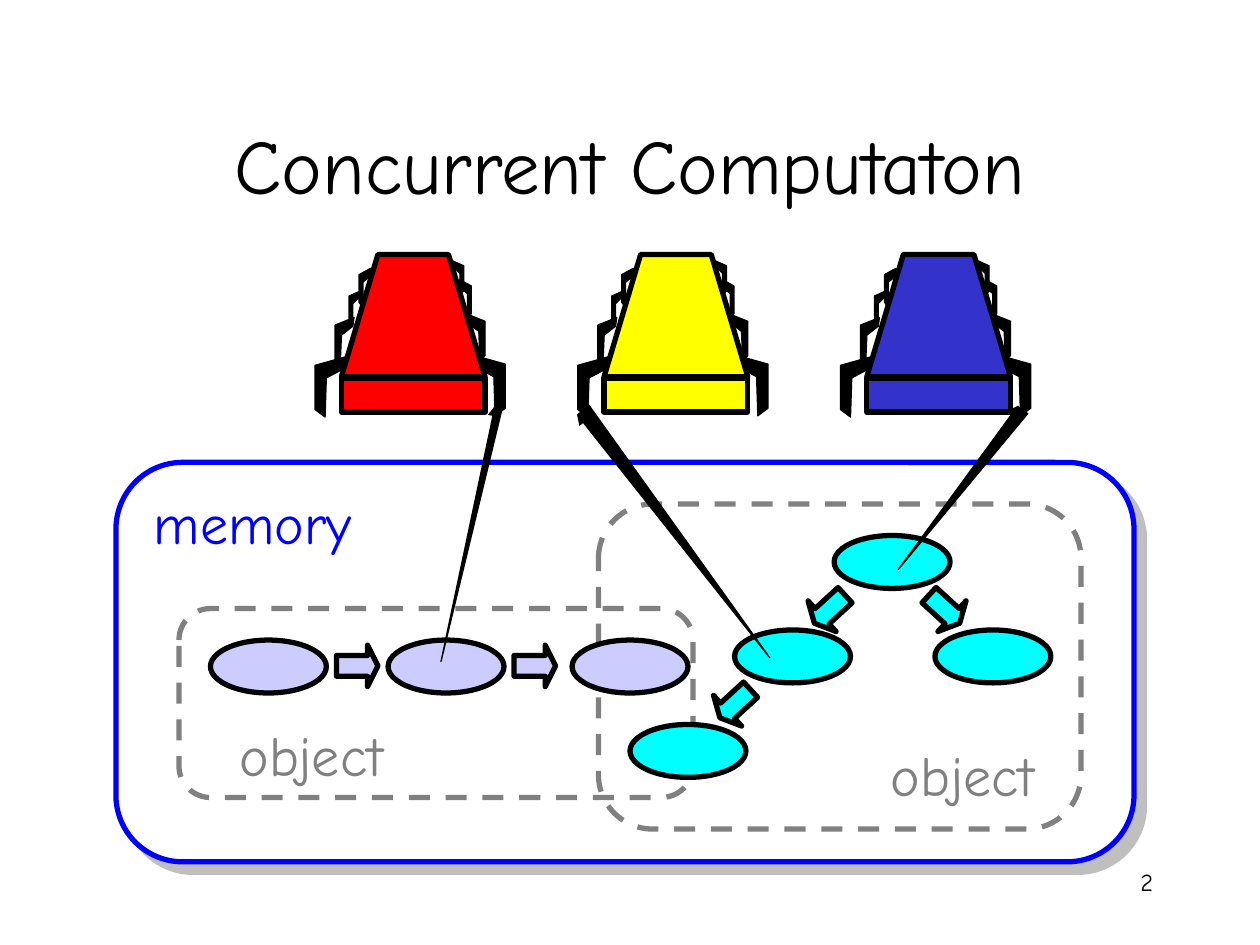
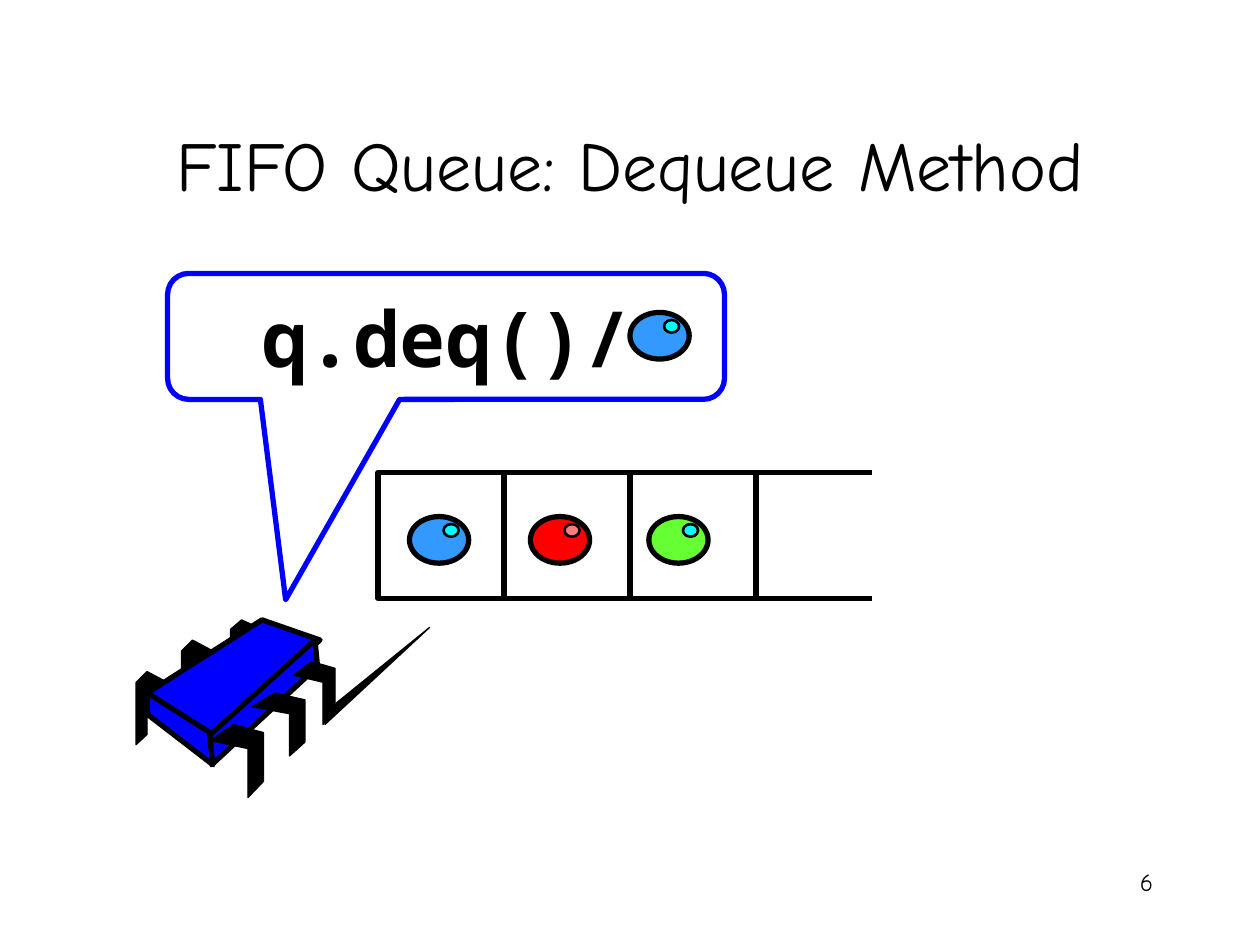
from lxml import etree
from pptx import Presentation
from pptx.dml.color import RGBColor
from pptx.enum.dml import MSO_LINE
from pptx.enum.shapes import MSO_CONNECTOR, MSO_SHAPE
from pptx.enum.text import MSO_ANCHOR, PP_ALIGN
from pptx.oxml.ns import qn
from pptx.util import Inches, Pt

ELLIPSE, RECT = MSO_SHAPE.OVAL, MSO_SHAPE.RECTANGLE
ROUNDED, ARROW = MSO_SHAPE.ROUNDED_RECTANGLE, MSO_SHAPE.RIGHT_ARROW
CALLOUT = MSO_SHAPE.ROUNDED_RECTANGULAR_CALLOUT
STRAIGHT, DASH = MSO_CONNECTOR.STRAIGHT, MSO_LINE.DASH
CENTER, RIGHT = PP_ALIGN.CENTER, PP_ALIGN.RIGHT
TOP, MIDDLE = MSO_ANCHOR.TOP, MSO_ANCHOR.MIDDLE

FONT, CODE_FONT = "Comic Neue", "Noto Sans Mono"
BLACK, WHITE, GRAY, BLUE = "000000", "FFFFFF", "808080", "0000FF"
RED, YELLOW, INDIGO = "FF0000", "FFFF00", "3333CC"
LILAC, CYAN = "CCCCFF", "00FFFF"
SKY, GREEN, PINK = "3399FF", "66FF33", "FF7C80"
THICK, MEDIUM, THIN = 3, 1.5, 0.75

# Right legs of a thread seen from the front, measured from its top centre,
# each with the shift that its mirrored left leg gets.
THREAD_LEGS = [
    ([(.48, .80), (.73, .87), (.73, 1.22), (.65, 1.28), (.64, .97), (.49, .89)], (-.05, .01)),
    ([(.42, .47), (.57, .53), (.57, .80), (.53, .85), (.52, .61), (.43, .54)], (-.05, .03)),
    ([(.37, .20), (.46, .25), (.46, .47), (.43, .51), (.43, .31), (.37, .26)], (.03, -.09)),
    ([(.31, .05), (.40, .09), (.40, .29), (.37, .32), (.37, .15), (.32, .10)], (-.11, .24)),
]
# Legs of the thread seen from the side, as fractions of their width and height.
BACK_LEG = [(1, .15), (.35, 0), (0, .15), (0, 1), (.35, .86), (.35, .29), (1, .43)]
FRONT_LEG = [(.43, 0), (0, .22), (.71, .33), (.71, 1), (1, .78), (1, .11)]


def rgb(hex_color):
    return RGBColor.from_string(hex_color)


def paint(shape, fill, line, width, dash=None):
    shape.shadow.inherit = False
    if fill:
        shape.fill.solid()
        shape.fill.fore_color.rgb = rgb(fill)
    else:
        shape.fill.background()
    shape.line.color.rgb = rgb(line)
    shape.line.width = Pt(width)
    if dash:
        shape.line.dash_style = dash
    return shape


def add_figure(slide, kind, left, top, width, height, fill=None, line=BLACK,
               weight=THICK, dash=None, adjust=()):
    figure = slide.shapes.add_shape(
        kind, Inches(left), Inches(top), Inches(width), Inches(height))
    for index, value in enumerate(adjust):
        figure.adjustments[index] = value
    return paint(figure, fill, line, weight, dash)


def add_outline(slide, points, fill=BLACK, weight=THIN, close=True):
    corners = [(Inches(x), Inches(y)) for x, y in points]
    builder = slide.shapes.build_freeform(*corners[0], scale=1.0)
    builder.add_line_segments(corners[1:], close=close)
    return paint(builder.convert_to_shape(), fill, BLACK, weight)


def write(shape, text, size, color=BLACK, align=CENTER, anchor=MIDDLE, font=FONT, bold=False):
    frame = shape.text_frame
    frame.text = text
    frame.vertical_anchor = anchor
    paragraph = frame.paragraphs[0]
    paragraph.alignment = align
    for run in paragraph.runs:
        run.font.name = font
        run.font.size = Pt(size)
        run.font.bold = bold
        run.font.color.rgb = rgb(color)


def add_text(slide, left, top, width, height, text, size, wrap=True, **style):
    box = slide.shapes.add_textbox(Inches(left), Inches(top), Inches(width), Inches(height))
    box.text_frame.word_wrap = wrap
    write(box, text, size, **style)


def add_label(slide, left, top, width, text, color):
    add_text(slide, left, top, width, 0.63, text, 32, wrap=False,
             color=color, align=RIGHT, anchor=TOP)


def new_slide(deck, title, title_size, number):
    slide = deck.slides.add_slide(deck.slide_layouts[6])
    add_text(slide, 7.17, 6.83, 2.08, 0.5, number, 14, align=RIGHT, anchor=TOP)
    add_text(slide, 0.75, 0.67, 8.5, 1.25, title, title_size)
    return slide


def drop_shadow(shape):
    """Give the shape a hard half-transparent gray shadow to the lower right."""
    effects = shape._element.spPr.find(qn("a:effectLst"))
    shadow = etree.SubElement(effects, qn("a:outerShdw"), blurRad="0",
                              dist=str(Pt(8.5)), dir=str(45 * 60000), algn="ctr", rotWithShape="0")
    color = etree.SubElement(shadow, qn("a:srgbClr"), val=GRAY)
    etree.SubElement(color, qn("a:alpha"), val="50000")


def add_arm(slide, points):
    """Draw the open, tapering arm with which a thread reaches a node."""
    arm = add_outline(slide, points, close=False)
    line = arm._element.spPr.find(qn("a:ln"))
    etree.SubElement(line, qn("a:tailEnd"), type="triangle")


def add_thread(slide, center, top, color):
    for leg, (shift_x, shift_y) in THREAD_LEGS:
        add_outline(slide, [(center + x, top + y) for x, y in leg])
        add_outline(slide, [(center - x + shift_x, top + y + shift_y) for x, y in leg])
    back = [(-.57, .97), (-.28, 0), (.28, 0), (.57, .97)]
    add_outline(slide, [(center + x, top + y) for x, y in back], color, THICK)
    add_figure(slide, RECT, center - .57, top + .98, 1.14, .27, color)


def add_node(slide, left, top, color):
    add_figure(slide, ELLIPSE, left, top, 0.92, 0.42, color)


def add_pointer(slide, left, top, color, rotation=0):
    pointer = add_figure(slide, ARROW, left, top, 0.33, 0.33, color, adjust=(0.5, 0.25))
    pointer.rotation = rotation


def add_object_frame(slide, left, top, width, height):
    add_figure(slide, ROUNDED, left, top, width, height, line=GRAY, dash=DASH, adjust=(0.167,))


def add_item(slide, left, top, color, glint):
    add_figure(slide, ELLIPSE, left, top, 0.47, 0.37, color)
    add_figure(slide, ELLIPSE, left + .27, top + .06, 0.12, 0.1, glint, weight=MEDIUM)


def add_leg(slide, leg, left, top, width, height):
    add_outline(slide, [(left + x * width, top + y * height) for x, y in leg])


def add_walking_thread(slide):
    for left, top, height in [(1.08, 5.33, .58), (1.44, 5.08, .58), (1.83, 4.92, .5)]:
        add_leg(slide, BACK_LEG, left, top, .25, height)
    back = [(2.08, 4.92), (1.17, 5.5), (1.68, 5.85), (2.54, 5.08)]
    side = [(2.5, 5.08), (1.67, 5.83), (1.68, 6.07), (2.52, 5.29)]
    front = [(1.17, 5.5), (1.17, 5.67), (1.69, 6.07), (1.66, 5.81)]
    for face in (back, side, front):
        add_outline(slide, face, BLUE, THICK)
    for left, top, width, height in [(1.67, 5.75, .42, .58), (2, 5.5, .42, .5),
                                     (2.33, 5.25, .33, .5)]:
        add_leg(slide, FRONT_LEG, left, top, width, height)
    add_outline(slide, [(2.58, 5.75), (2.67, 5.58), (3.41, 4.98)])


def add_rail(slide, left, right, y):
    rail = slide.shapes.add_connector(STRAIGHT, Inches(left), Inches(y), Inches(right), Inches(y))
    rail.line.color.rgb = rgb(BLACK)
    rail.line.width = Pt(THICK)
    etree.SubElement(rail._element.spPr, qn("a:effectLst"))


def build_computation(deck):
    slide = new_slide(deck, "Concurrent Computaton", 44, "2")
    memory = add_figure(slide, ROUNDED, 0.92, 3.67, 8.08, 3.17, WHITE, BLUE, adjust=(0.167,))
    drop_shadow(memory)
    add_label(slide, 1.08, 3.83, 1.81, "memory", BLUE)

    for index, color in enumerate((RED, YELLOW, INDIGO)):
        add_thread(slide, 3.28 + 2.085 * index, 2.02, color)

    add_object_frame(slide, 1.42, 4.83, 4.08, 1.5)
    add_label(slide, 1.58, 5.67, 1.56, "object", GRAY)
    add_object_frame(slide, 4.75, 4, 3.83, 2.58)
    add_label(slide, 6.75, 5.83, 1.56, "object", GRAY)

    for left in (1.67, 3.08, 4.54):
        add_node(slide, left, 5.08, LILAC)
    for left in (2.67, 4.08):
        add_pointer(slide, left, 5.12, LILAC)
    for left, top in [(6.62, 4.25), (5.83, 5), (7.42, 5), (5, 5.75)]:
        add_node(slide, left, top, CYAN)
    for left, top, rotation in [(7.33, 4.67, 42.5), (6.42, 4.67, 137.5), (5.67, 5.42, 137.5)]:
        add_pointer(slide, left, top, CYAN, rotation)

    add_arm(slide, [(4.01, 3.14), (3.5, 5.25), (3.93, 3.22)])
    add_arm(slide, [(4.67, 3.21), (6.11, 5.22), (4.58, 3.29)])
    add_arm(slide, [(8.16, 3.28), (7.13, 4.52), (8.08, 3.22)])


def build_dequeue(deck):
    slide = new_slide(deck, "FIFO Queue: Dequeue Method", 40, "6")
    for left in (3, 4, 5):
        add_figure(slide, RECT, left, 3.75, 1, 1)
    for y in (3.75, 4.75):
        add_rail(slide, 5.92, 6.92, y)
    add_walking_thread(slide)

    call = add_figure(slide, CALLOUT, 1.33, 2.17, 4.42, 1, line=BLUE,
                      adjust=(-0.288, 2.09, 0.167))
    write(call, "q.deq()/", 44, font=CODE_FONT, bold=True)

    for left, top, color, glint in [(3.25, 4.1, SKY, CYAN), (4.21, 4.1, RED, PINK),
                                    (5.15, 4.1, GREEN, CYAN), (5, 2.48, SKY, CYAN)]:
        add_item(slide, left, top, color, glint)


def main():
    deck = Presentation()
    deck.slide_width, deck.slide_height = Inches(10), Inches(7.5)
    build_computation(deck)
    build_dequeue(deck)
    deck.save("out.pptx")


if __name__ == "__main__":
    main()
